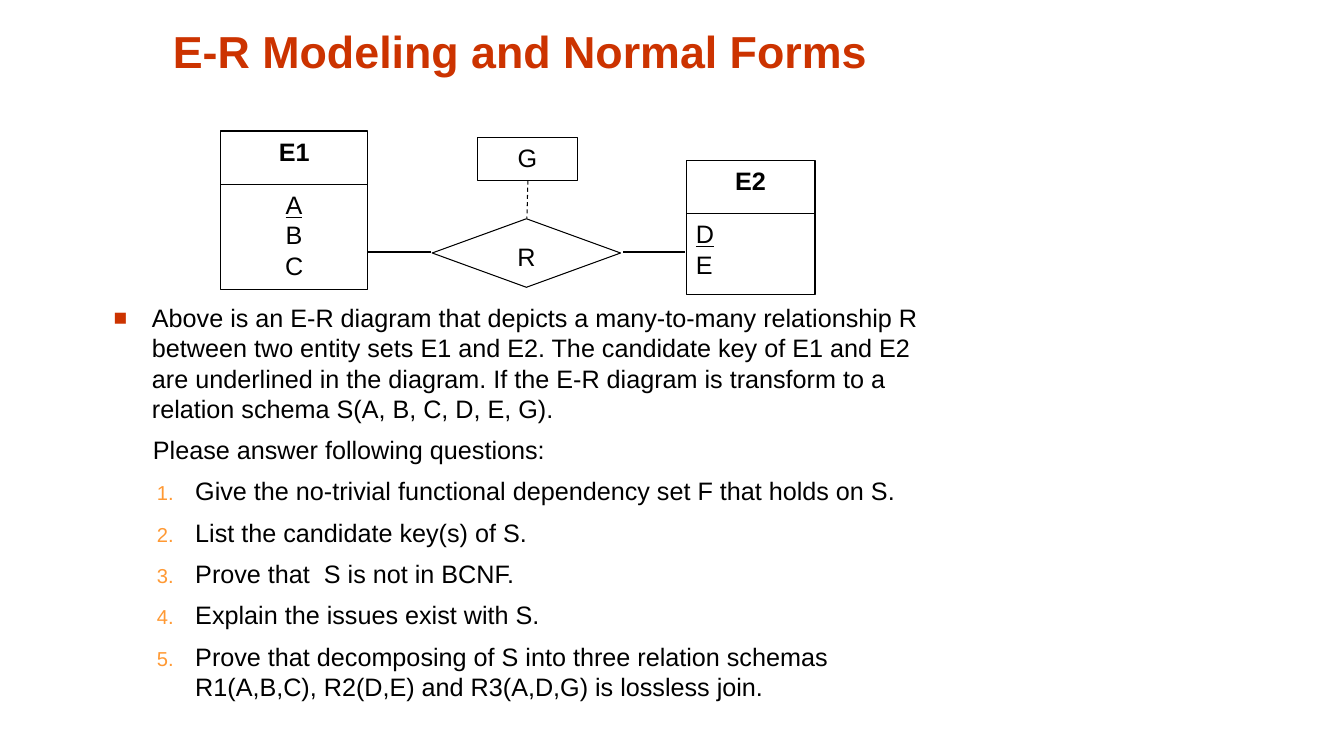
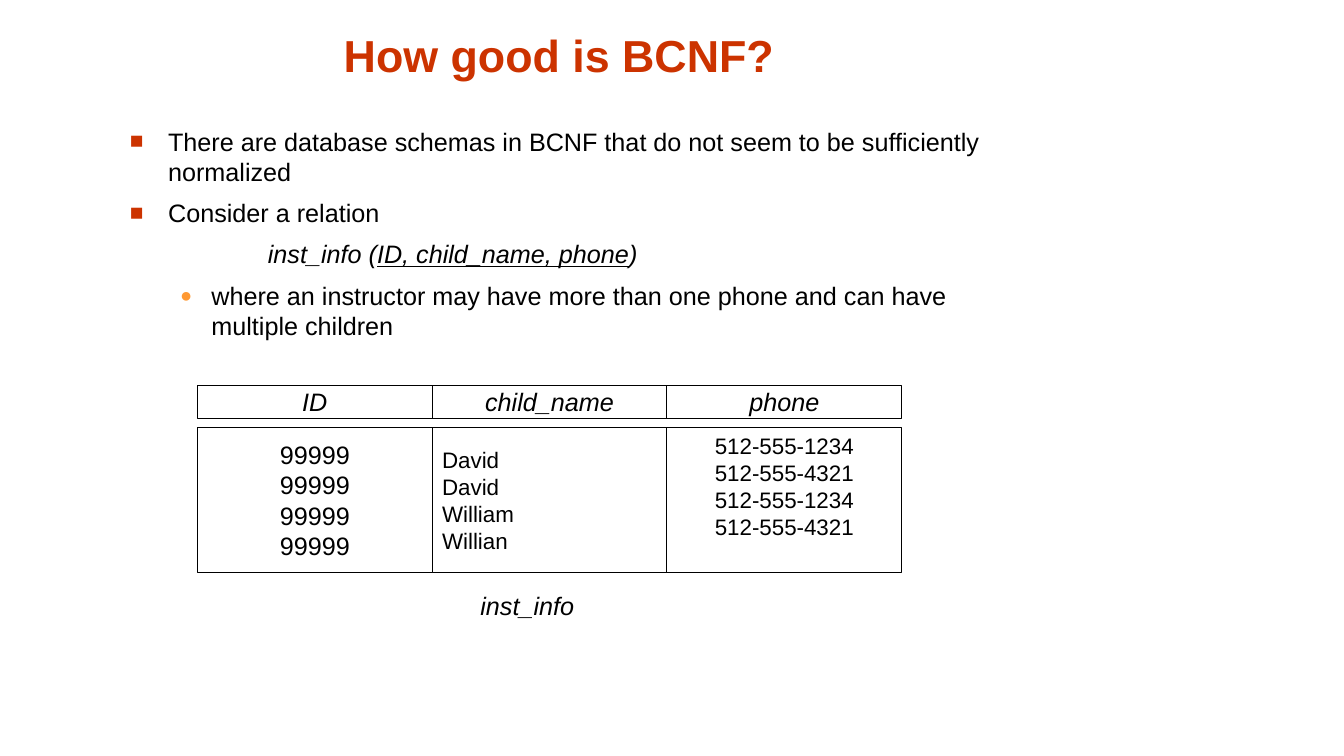
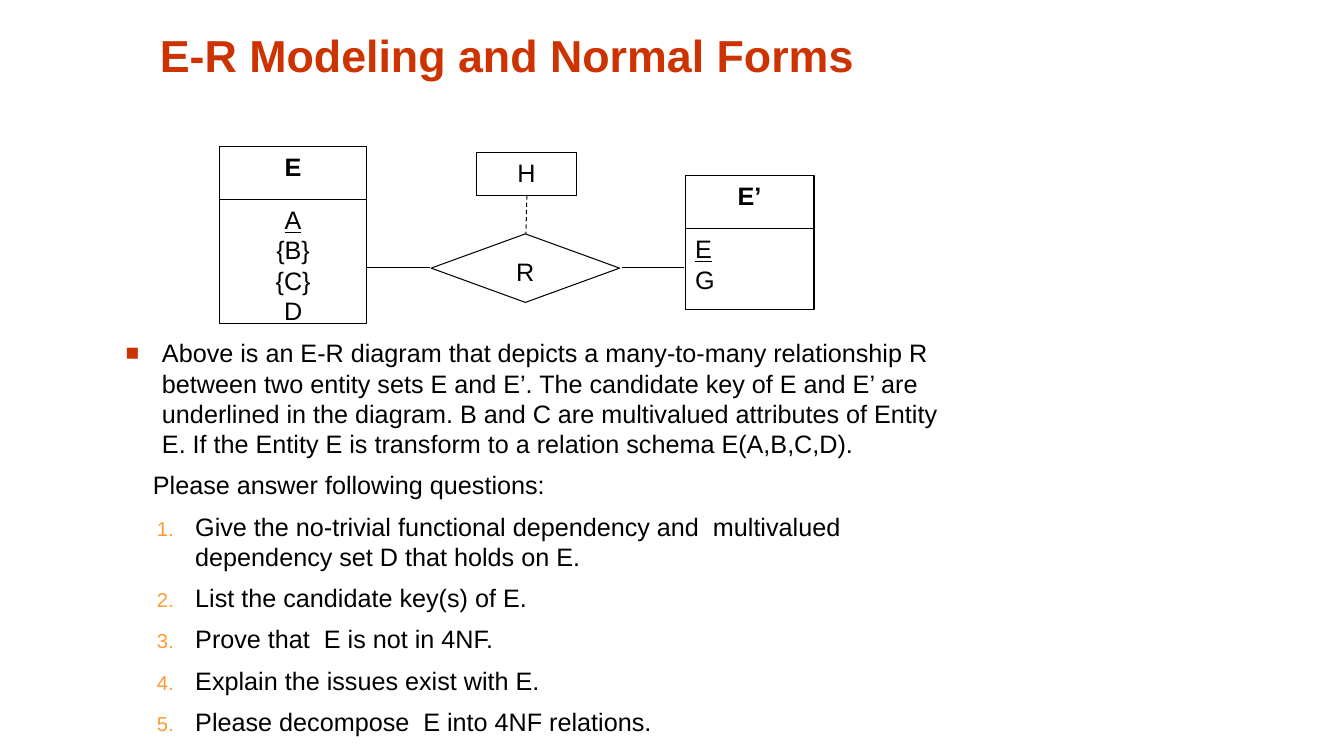
from dataclasses import dataclass
from typing import NamedTuple, Optional

from lxml import etree
from pptx import Presentation, slide as slides, util as u
from pptx.dml.color import RGBColor
from pptx.enum import dml, shapes, text
from pptx.oxml import ns
from pptx.text import text as texts

PX = 9144  # EMU in one px, 100 px to the inch


def px(length: int) -> u.Emu:
    return u.Emu(length * PX)


# ---- Theme ----
@dataclass(frozen=True)
class Theme:
    font: str = "Arial"
    accent: str = "CC3300"
    second: str = "FF9933"
    ink: str = "000000"
    paper: str = "FFFFFF"
    title_size: int = 32
    body_size: int = 18
    small_size: int = 16
    line_pitch: float = 1.2
    space_before: float = 7.9
    line_width: float = 0.75
    inset_x: int = 10
    inset_y: int = 5


THEME = Theme()
LEFT, CENTER = text.PP_ALIGN.LEFT, text.PP_ALIGN.CENTER
TOP, MIDDLE = text.MSO_ANCHOR.TOP, text.MSO_ANCHOR.MIDDLE
RECT, DIAMOND = shapes.MSO_SHAPE.RECTANGLE, shapes.MSO_SHAPE.DIAMOND


# ---- Descriptions of repeated elements ----
class Area(NamedTuple):
    left: int
    top: int
    width: int
    height: int


class Span(NamedTuple):
    text: str
    bold: bool = False
    italic: bool = False
    underline: bool = False


@dataclass(frozen=True)
class Style:
    left: int = 0
    hang: int = 0
    level: int = 0
    symbol: str = ""
    numbered: bool = False
    color: str = THEME.accent
    percent: int = 90


class Item(NamedTuple):
    style: Style
    spans: list[Span]


@dataclass(frozen=True)
class Entity:
    name: str
    attributes: list[str]  # the first one is the key
    list_height: int


@dataclass(frozen=True)
class Column:
    heading: str
    values: list[str]
    size: int
    align: text.PP_ALIGN
    anchor: text.MSO_ANCHOR


PLAIN = Style()
BULLET = Style(left=38, hang=38, symbol="■")
DEEP_BULLET = Style(left=48, hang=36, symbol="■")
LEAD_IN = Style(left=39)
SCHEMA = Style(left=137)
SUB_BULLET = Style(81, 31, 1, "●", color=THEME.second, percent=80)
NUMBER = Style(81, 38, 1, numbered=True, color=THEME.second, percent=80)


# ---- Text ----
def add_marker(para: texts._Paragraph, style: Style) -> None:
    props = para._p.get_or_add_pPr()
    props.set("marL", str(px(style.left)))
    props.set("indent", str(px(-style.hang)))
    if not (style.symbol or style.numbered):
        etree.SubElement(props, ns.qn("a:buNone"))
        return
    color = etree.SubElement(props, ns.qn("a:buClr"))
    etree.SubElement(color, ns.qn("a:srgbClr"), val=style.color)
    etree.SubElement(props, ns.qn("a:buSzPct"), val=str(style.percent * 1000))
    etree.SubElement(props, ns.qn("a:buFont"), typeface=THEME.font)
    if style.numbered:
        etree.SubElement(props, ns.qn("a:buAutoNum"), type="arabicPeriod")
    else:
        etree.SubElement(props, ns.qn("a:buChar"), char=style.symbol)


def add_spans(para: texts._Paragraph, spans: list[Span], size: int, color: str) -> None:
    for span in spans:
        run = para.add_run()
        run.text = span.text
        run.font.name = THEME.font
        run.font.size = u.Pt(size)
        run.font.color.rgb = RGBColor.from_string(color)
        run.font.bold = span.bold
        run.font.italic = span.italic
        run.font.underline = span.underline


def fill_frame(frame: texts.TextFrame, items: list[Item], size: int = THEME.body_size,
               align: text.PP_ALIGN = LEFT, anchor: text.MSO_ANCHOR = TOP,
               gap: float = 0) -> None:
    frame.word_wrap = True
    frame.vertical_anchor = anchor
    frame.margin_left = frame.margin_right = px(THEME.inset_x)
    frame.margin_top = frame.margin_bottom = px(THEME.inset_y)
    for index, item in enumerate(items):
        para = frame.add_paragraph() if index else frame.paragraphs[0]
        add_marker(para, item.style)
        para.level = item.style.level
        para.alignment = align
        para.line_spacing = u.Pt(size * THEME.line_pitch)
        para.space_before = u.Pt(gap if index else 0)
        add_spans(para, item.spans, size, THEME.ink)


def plain(*spans: Span) -> list[Item]:
    return [Item(PLAIN, [span]) for span in spans]


# ---- Slide parts ----
def add_page(deck, title: str, area: Area) -> slides.Slide:
    page = deck.slides.add_slide(deck.slide_layouts[5])
    box = page.shapes.title
    box.left, box.top, box.width, box.height = map(px, area)
    frame = box.text_frame
    frame.word_wrap = True
    frame.auto_size = text.MSO_AUTO_SIZE.NONE
    frame.vertical_anchor = text.MSO_ANCHOR.BOTTOM
    para = frame.paragraphs[0]
    para.alignment = CENTER
    add_spans(para, [Span(title, bold=True)], THEME.title_size, THEME.accent)
    return page


def add_text(page: slides.Slide, area: Area, items: list[Item]) -> None:
    box = page.shapes.add_textbox(*map(px, area))
    fill_frame(box.text_frame, items, gap=THEME.space_before)


def add_box(page: slides.Slide, area: Area, items: list[Item],
            kind: shapes.MSO_SHAPE = RECT, fill: Optional[str] = None,
            size: int = THEME.body_size, align: text.PP_ALIGN = CENTER,
            anchor: text.MSO_ANCHOR = TOP) -> None:
    box = page.shapes.add_shape(kind, *map(px, area))
    box.shadow.inherit = False
    if fill:
        box.fill.solid()
        box.fill.fore_color.rgb = RGBColor.from_string(fill)
    else:
        box.fill.background()
    box.line.color.rgb = RGBColor.from_string(THEME.ink)
    box.line.width = u.Pt(THEME.line_width)
    fill_frame(box.text_frame, items, size, align, anchor)


def add_line(page: slides.Slide, start: tuple[int, int], end: tuple[int, int],
             dashed: bool = False) -> None:
    line = page.shapes.add_connector(
        shapes.MSO_CONNECTOR.STRAIGHT, *map(px, start + end))
    line.line.color.rgb = RGBColor.from_string(THEME.ink)
    line.line.width = u.Pt(THEME.line_width)
    if dashed:
        line.line.dash_style = dml.MSO_LINE.DASH
    etree.SubElement(line.element.spPr, ns.qn("a:effectLst"))


def add_entity(page: slides.Slide, left: int, top: int, width: int,
               entity: Entity, align: text.PP_ALIGN) -> None:
    header = 53
    add_box(page, Area(left, top, width, header), plain(Span(entity.name, bold=True)))
    key, *others = entity.attributes
    add_box(page, Area(left, top + header, width, entity.list_height),
            plain(Span(key, underline=True), *map(Span, others)), align=align)


def add_er_diagram(page: slides.Slide, left: int, top: int, first: Entity,
                   second: Entity, attribute: str) -> None:
    add_entity(page, left, top, 146, first, CENTER)
    add_entity(page, left + 462, top + 29, 128, second, LEFT)
    add_box(page, Area(left + 210, top + 87, 187, 68), plain(Span("R")), DIAMOND)
    add_box(page, Area(left + 255, top + 6, 99, 43), plain(Span(attribute)))
    middle = top + 120
    add_line(page, (left + 209, middle), (left + 146, middle))
    add_line(page, (left + 461, middle), (left + 399, middle))
    add_line(page, (left + 305, top + 49), (left + 304, top + 87), dashed=True)


def add_questions(page: slides.Slide, area: Area, style: Style, intro: str,
                  questions: list[str]) -> None:
    items = [Item(style, [Span(intro)]),
             Item(LEAD_IN, [Span("Please answer following questions:")])]
    items += [Item(NUMBER, [Span(question)]) for question in questions]
    add_text(page, area, items)


def add_relation(page: slides.Slide, left: int, top: int, columns: list[Column]) -> None:
    width, header, offset, body = 233, 33, 42, 144
    for index, column in enumerate(columns):
        x = left + index * width
        add_box(page, Area(x, top, width, header),
                plain(Span(column.heading, italic=True)),
                fill=THEME.paper, anchor=MIDDLE)
        add_box(page, Area(x, top + offset, width, body),
                plain(*map(Span, column.values)), fill=THEME.paper,
                size=column.size, align=column.align, anchor=column.anchor)


# ---- Slides ----
def build_decomposition(deck) -> None:
    page = add_page(deck, "E-R Modeling and Normal Forms", Area(127, 13, 779, 69))
    add_questions(
        page, Area(103, 295, 840, 428), BULLET,
        "Above is an E-R diagram that depicts a many-to-many relationship R between "
        "two entity sets E1 and E2. The candidate key of E1 and E2 are underlined in "
        "the diagram. If the E-R diagram is transform to a relation schema "
        "S(A, B, C, D, E, G).",
        ["Give the no-trivial functional dependency set F that holds on S.",
         "List the candidate key(s) of S.",
         "Prove that  S is not in BCNF.",
         "Explain the issues exist with S.",
         "Prove that decomposing of S into three relation schemas "
         "R1(A,B,C), R2(D,E) and R3(A,D,G) is lossless join."])
    add_er_diagram(page, 219, 130, Entity("E1", ["A", "B", "C"], 104),
                   Entity("E2", ["D", "E"], 80), "G")


def build_bcnf(deck) -> None:
    page = add_page(deck, "How good is BCNF?", Area(322, 17, 466, 69))
    add_text(page, Area(119, 120, 865, 240), [
        Item(BULLET, [Span("There are database schemas in BCNF that do not seem "
                           "to be sufficiently normalized")]),
        Item(BULLET, [Span("Consider a relation")]),
        Item(SCHEMA, [Span("inst_info (", italic=True),
                      Span("ID, child_name, phone", italic=True, underline=True),
                      Span(")", italic=True)]),
        Item(SUB_BULLET, [Span("where an instructor may have more than one phone "
                               "and can have multiple children")]),
    ])
    add_relation(page, 196, 382, [
        Column("ID", ["99999"] * 4, THEME.body_size, CENTER, MIDDLE),
        Column("child_name", ["David", "David", "William", "Willian"],
               THEME.small_size, LEFT, MIDDLE),
        Column("phone", ["512-555-1234", "512-555-4321"] * 2,
               THEME.small_size, CENTER, TOP),
    ])
    add_text(page, Area(467, 581, 120, 40), plain(Span("inst_info", italic=True)))


def build_multivalued(deck) -> None:
    page = add_page(deck, "E-R Modeling and Normal Forms", Area(114, 17, 779, 69))
    add_questions(
        page, Area(103, 330, 840, 420), DEEP_BULLET,
        "Above is an E-R diagram that depicts a many-to-many relationship R between "
        "two entity sets E and E’. The candidate key of E and E’ are underlined in "
        "the diagram. B and C are multivalued attributes of Entity E. If the Entity E "
        "is transform to a relation schema E(A,B,C,D).",
        ["Give the no-trivial functional dependency and  multivalued "
         "dependency set D that holds on E.",
         "List the candidate key(s) of E.",
         "Prove that  E is not in 4NF.",
         "Explain the issues exist with E.",
         "Please decompose  E into 4NF relations."])
    add_er_diagram(page, 218, 145, Entity("E", ["A", "{B}", "{C}", "D"], 123),
                   Entity("E’", ["E", "G"], 80), "H")


def main() -> None:
    deck = Presentation()
    deck.slide_width, deck.slide_height = px(1334), px(750)
    build_decomposition(deck)
    build_bcnf(deck)
    build_multivalued(deck)
    deck.save("out.pptx")


if __name__ == "__main__":
    main()
